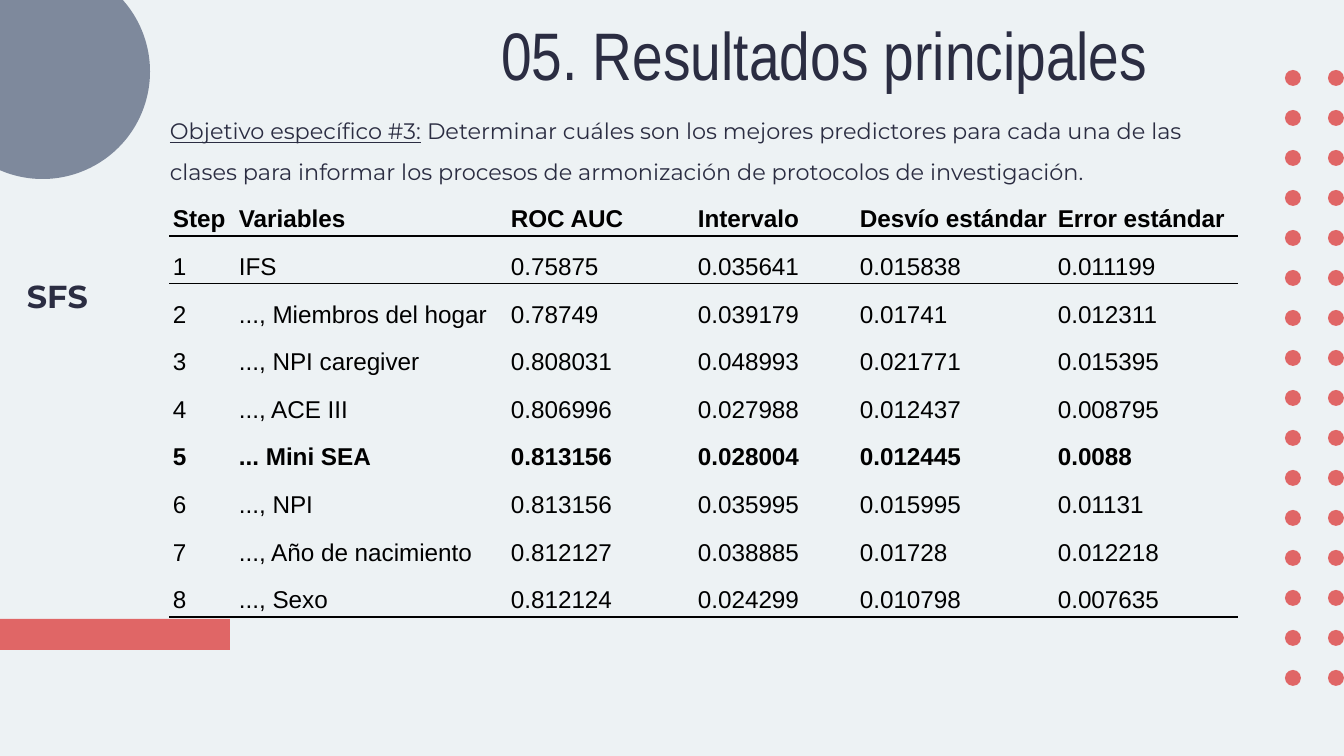
from typing import NamedTuple

from lxml import etree
from pptx import Presentation
from pptx.dml.color import RGBColor
from pptx.enum.shapes import MSO_SHAPE
from pptx.enum.text import MSO_ANCHOR, MSO_AUTO_SIZE, PP_ALIGN
from pptx.oxml.ns import qn
from pptx.util import Emu, Pt

RECT, OVAL = MSO_SHAPE.RECTANGLE, MSO_SHAPE.OVAL
TOP, BASE = MSO_ANCHOR.TOP, MSO_ANCHOR.BOTTOM
LEFT, FIXED = PP_ALIGN.LEFT, MSO_AUTO_SIZE.NONE
SCALE = 914400 / 134.4  # EMU per px
HUES = {"back": "EDF2F4", "red": "E06666", "gray": "7E899C",
        "navy": "2B2D42", "black": "000000"}
NO_GRID = "{2D5ABB26-0587-4C30-8999-92F81FD0307C}"


class Box(NamedTuple):
    x: int
    y: int
    w: int
    h: int


class Run(NamedTuple):
    text: str
    font: str
    size: int
    hue: str = "navy"
    bold: bool = False
    under: bool = False


def px(n: int) -> Emu:
    return Emu(round(n * SCALE))


def color(name: str) -> RGBColor:
    return RGBColor.from_string(HUES[name])


def add_mark(slide, kind, box: Box, hue: str) -> None:
    mark = slide.shapes.add_shape(kind, *map(px, box))
    mark.shadow.inherit = False
    mark.fill.solid()
    mark.fill.fore_color.rgb = color(hue)
    mark.line.fill.background()


def write(frame, runs: list[Run], space: float) -> None:
    par = frame.paragraphs[0]
    par.alignment = LEFT
    par.line_spacing = space
    for item in runs:
        run = par.add_run()
        run.text = item.text
        font = run.font
        font.name, font.size = item.font, Pt(item.size)
        font.bold, font.underline = item.bold, item.under
        font.color.rgb = color(item.hue)


def fill_box(shape, box: Box, runs: list[Run], space: float) -> None:
    shape.left, shape.top, shape.width, shape.height = map(px, box)
    frame = shape.text_frame
    frame.word_wrap = True
    frame.auto_size = FIXED
    frame.vertical_anchor = TOP
    frame.margin_left = frame.margin_right = px(13)
    frame.margin_top = frame.margin_bottom = px(13)
    write(frame, runs, space)


def rule_below(cell) -> None:
    line = etree.Element(qn("a:lnB"), w=str(Pt(1.1)))
    fill = etree.SubElement(line, qn("a:solidFill"))
    etree.SubElement(fill, qn("a:srgbClr"), val=HUES["black"])
    cell._tc.get_or_add_tcPr().insert(0, line)


def add_grid(slide, box: Box, cols: list[int], head: int,
             rows: list[tuple], best: int) -> None:
    frame = slide.shapes.add_table(len(rows), len(cols), *map(px, box))
    grid = frame.table
    grid.first_row = grid.horz_banding = False
    grid._tbl.tblPr.find(qn("a:tableStyleId")).text = NO_GRID
    for col, wide in zip(grid.columns, cols):
        col.width = px(wide)
    step = (box.h - head) / (len(rows) - 1)
    ruled = (0, 1, len(rows) - 1)
    for r, row in enumerate(rows):
        grid.rows[r].height = px(step if r else head)
        for c, text in enumerate(row):
            cell = grid.cell(r, c)
            cell.fill.background()
            cell.vertical_anchor = BASE
            cell.margin_left = cell.margin_right = px(4)
            cell.margin_top = cell.margin_bottom = px(3)
            bold = r in (0, best)
            write(cell.text_frame, [Run(text, "Arial", 13, "black", bold)], 1.15)
            if r in ruled:
                rule_below(cell)


ROWS = [
    ("Step", "Variables", "ROC AUC", "Intervalo", "Desvío estándar", "Error estándar"),
    ("1", "IFS", "0.75875", "0.035641", "0.015838", "0.011199"),
    ("2", "..., Miembros del hogar", "0.78749", "0.039179", "0.01741", "0.012311"),
    ("3", "..., NPI caregiver", "0.808031", "0.048993", "0.021771", "0.015395"),
    ("4", "..., ACE III", "0.806996", "0.027988", "0.012437", "0.008795"),
    ("5", "... Mini SEA", "0.813156", "0.028004", "0.012445", "0.0088"),
    ("6", "..., NPI", "0.813156", "0.035995", "0.015995", "0.01131"),
    ("7", "..., Año de nacimiento", "0.812127", "0.038885", "0.01728", "0.012218"),
    ("8", "..., Sexo", "0.812124", "0.024299", "0.010798", "0.007635"),
]
GOAL = [
    Run("Objetivo específico #3:", "Montserrat", 12, under=True),
    Run(" Determinar cuáles son los mejores predictores para cada una de las "
        "clases para informar los procesos de armonización de protocolos de "
        "investigación.", "Montserrat", 12),
]


def main() -> None:
    deck = Presentation()
    deck.slide_width, deck.slide_height = px(1344), px(756)
    slide = deck.slides.add_slide(deck.slide_layouts[5])
    slide.background.fill.solid()
    slide.background.fill.fore_color.rgb = color("back")

    # Bar, corner disc and two columns of dots
    add_mark(slide, RECT, Box(0, 619, 230, 31), "red")
    add_mark(slide, OVAL, Box(-65, -36, 215, 215), "gray")
    for x in (1285, 1328):
        for row in range(16):
            add_mark(slide, OVAL, Box(x, 70 + 40 * row, 16, 16), "red")

    # Title
    fill_box(slide.shapes.title, Box(488, 0, 798, 91),
             [Run("05. Resultados principales", "Arial Narrow", 36)], 1.0)

    # Results table
    add_grid(slide, Box(169, 149, 1069, 468), [66, 272, 187, 162, 198, 184],
             87, ROWS, best=5)

    # Goal and side label
    for box, runs in (
        (Box(157, 91, 1079, 110), GOAL),
        (Box(14, 245, 220, 85), [Run("SFS", "Montserrat", 17, bold=True)]),
    ):
        fill_box(slide.shapes.add_textbox(0, 0, 0, 0), box, runs, 1.5)

    deck.save("out.pptx")


if __name__ == "__main__":
    main()
